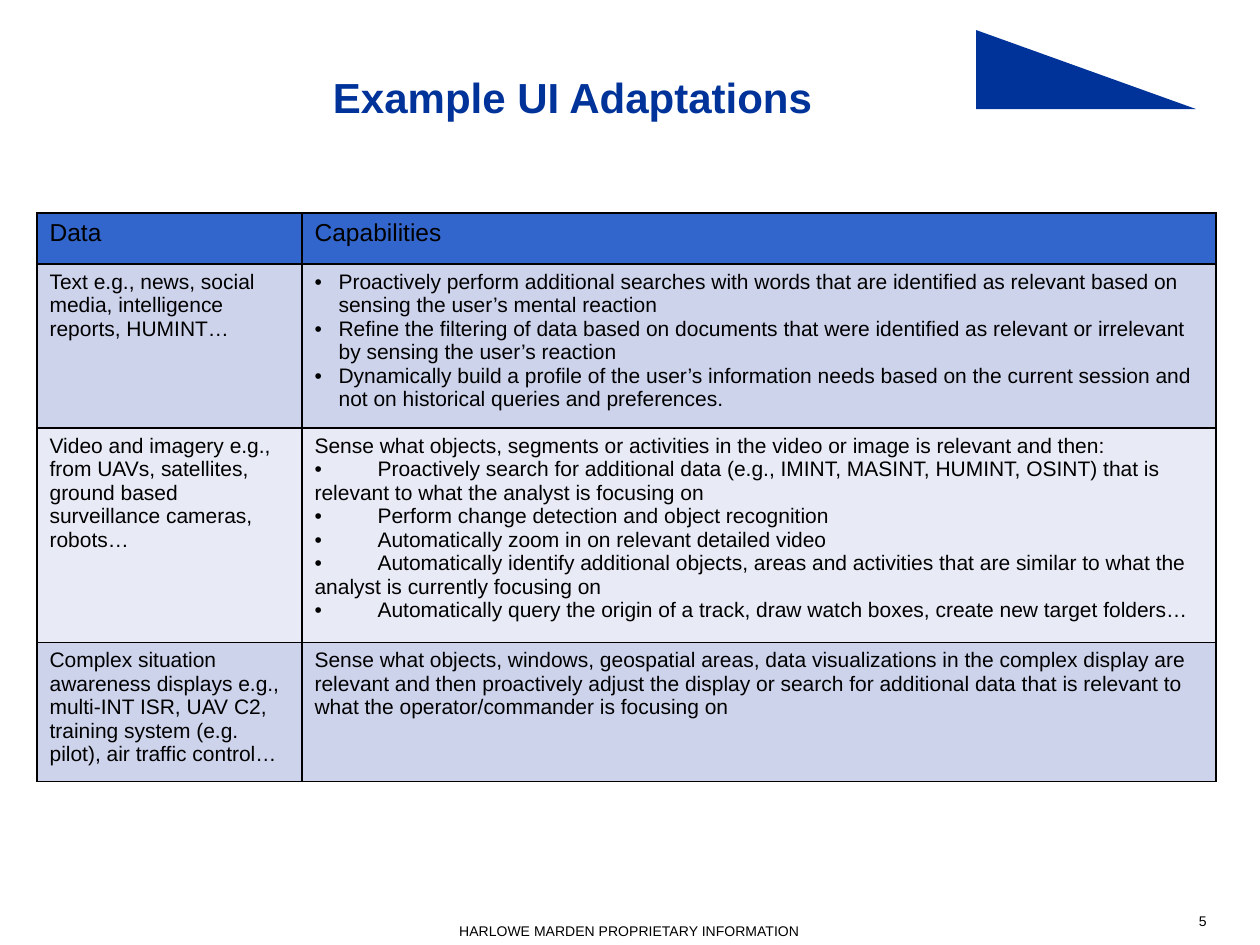
from lxml.etree import SubElement
from pptx import Presentation
from pptx.dml.color import RGBColor
from pptx.enum.shapes import MSO_SHAPE
from pptx.enum.text import MSO_ANCHOR, PP_ALIGN
from pptx.oxml.ns import qn
from pptx.util import Emu, Pt

NAVY, BLACK, HEADER = "003399", "000000", "3366CC"
BANDS = ("CED3EC", "E8EAF6")
COLUMNS, ROW_HEIGHTS = (265, 914), (51, 164, 214, 139)
TEXT_INDENT, TAB_STOP = 24, 63
ROWS = [
    (["Data"], ["Capabilities"]),
    (["Text e.g., news, social media, intelligence reports, HUMINT…"],
     [("bullet", "Proactively perform additional searches with words that are identified as relevant "
                 "based on sensing the user’s mental reaction"),
      ("bullet", "Refine the filtering of data based on documents that were identified as relevant or "
                 "irrelevant by sensing the user’s reaction"),
      ("bullet", "Dynamically build a profile of the user’s information needs based on the current "
                 "session and not on historical queries and preferences.")]),
    (["Video and imagery e.g., from UAVs, satellites, ground based surveillance cameras, robots…"],
     ["Sense what objects, segments or activities in the video or image is relevant and then:",
      ("tab", "Proactively search for additional data (e.g., IMINT, MASINT, HUMINT, OSINT) that is "
              "relevant to what the analyst is focusing on"),
      ("tab", "Perform change detection and object recognition"),
      ("tab", "Automatically zoom in on relevant detailed video"),
      ("tab", "Automatically identify additional objects, areas and activities that are similar to "
              "what the analyst is currently focusing on"),
      ("tab", "Automatically query the origin of a track, draw watch boxes, create new target folders…")]),
    (["Complex situation awareness displays e.g., multi-INT ISR, UAV C2,",
      "training system (e.g. pilot), air traffic control…"],
     ["Sense what objects, windows, geospatial areas, data visualizations in the complex display are "
      "relevant and then proactively adjust the display or search for additional data that is relevant "
      "to what the operator/commander is focusing on"]),
]


def px(n):
    """Turn px into EMU at 126 px to the inch."""
    return Emu(round(n * 914400 / 126))


def color(value):
    """Turn a hex string into a colour."""
    return RGBColor.from_string(value)


def set_attrs(target, values):
    """Set each named attribute of the target."""
    for name, value in values.items():
        setattr(target, name, value)


def style_font(font, size, bold=False, ink=BLACK):
    """Set the face, size, weight and colour of a font."""
    set_attrs(font, {"name": "Arial", "size": Pt(size), "bold": bold})
    font.color.rgb = color(ink)


def add_text(s, box, text, size, align=PP_ALIGN.LEFT, frame=None, **font):
    """Add one line of text in a box."""
    tf = s.shapes.add_textbox(*map(px, box)).text_frame
    set_attrs(tf, {"word_wrap": True, **(frame or {})})
    p = tf.paragraphs[0]
    p.text, p.alignment = text, align
    style_font(p.font, size, **font)


def add_header(s, box):
    """Place the title and the emblem block in the header box."""
    x, y, w, h = box
    add_text(s, (x + 10, y + 30, w - 135, 73), "Example UI Adaptations", 24, PP_ALIGN.CENTER,
             {"vertical_anchor": MSO_ANCHOR.MIDDLE}, bold=True, ink=NAVY)
    emblem = s.shapes.add_shape(MSO_SHAPE.RIGHT_TRIANGLE, *map(px, (x + 976, y, 220, 79)))
    emblem.shadow.inherit = False
    emblem.fill.solid()
    emblem.fill.fore_color.rgb = color(NAVY)
    emblem.line.fill.background()


def add_borders(cell):
    """Draw thin black lines around a cell."""
    tc_pr = cell._tc.get_or_add_tcPr()
    for side in ("lnL", "lnR", "lnT", "lnB"):
        line = SubElement(tc_pr, qn(f"a:{side}"), w=str(Pt(1)))
        SubElement(SubElement(line, qn("a:solidFill")), qn("a:srgbClr"), val=BLACK)


def fill_paragraph(p, item, size):
    """Write a plain, bulleted or tabbed paragraph."""
    kind, text = item if isinstance(item, tuple) else ("plain", item)
    p_pr = p._p.get_or_add_pPr()
    if kind == "bullet":
        p_pr.set("marL", str(px(TEXT_INDENT)))
        p_pr.set("indent", str(-px(TEXT_INDENT)))
        SubElement(p_pr, qn("a:buFont"), typeface="Arial")
        SubElement(p_pr, qn("a:buChar"), char="•")
    elif kind == "tab":
        tabs = SubElement(p_pr, qn("a:tabLst"))
        SubElement(tabs, qn("a:tab"), pos=str(px(TAB_STOP)), algn="l")
    r = p.add_run()
    r.text = f"•\t{text}" if kind == "tab" else text
    style_font(r.font, size)


def fill_cell(cell, items, size, fill):
    """Write the paragraphs of a cell and colour it."""
    add_borders(cell)
    cell.fill.solid()
    cell.fill.fore_color.rgb = color(fill)
    tf = cell.text_frame
    for i, item in enumerate(items):
        fill_paragraph(tf.add_paragraph() if i else tf.paragraphs[0], item, size)


def add_adaptations_table(s, box):
    """Place the table of data kinds and capabilities."""
    table = s.shapes.add_table(len(ROWS), len(COLUMNS), *map(px, box)).table
    for column, width in zip(table.columns, COLUMNS):
        column.width = px(width)
    for i, (row, height) in enumerate(zip(table.rows, ROW_HEIGHTS)):
        row.height = px(height)
        size, fill = (12, BANDS[(i - 1) % 2]) if i else (14, HEADER)
        for cell, items in zip(row.cells, ROWS[i]):
            fill_cell(cell, items, size, fill)


def add_footer(s, box):
    """Place the proprietary notice and the page number."""
    x, y, w, h = box
    add_text(s, (x + 421, y + 3, 417, 29), "HARLOWE MARDEN PROPRIETARY INFORMATION", 8, PP_ALIGN.CENTER)
    margins = {f"margin_{side}": 0 for side in ("left", "top", "right", "bottom")}
    add_text(s, (x + w - 61, y, 61, h), "5", 8, frame=margins)


def main():
    """Build and save the slide."""
    prs = Presentation()
    set_attrs(prs, {"slide_width": px(1260), "slide_height": px(945)})
    s = prs.slides.add_slide(prs.slide_layouts[6])
    add_header(s, (0, 30, 1260, 103))
    add_adaptations_table(s, (37, 213, sum(COLUMNS), sum(ROW_HEIGHTS)))
    add_footer(s, (0, 913, 1260, 32))
    prs.save("out.pptx")


if __name__ == "__main__":
    main()
